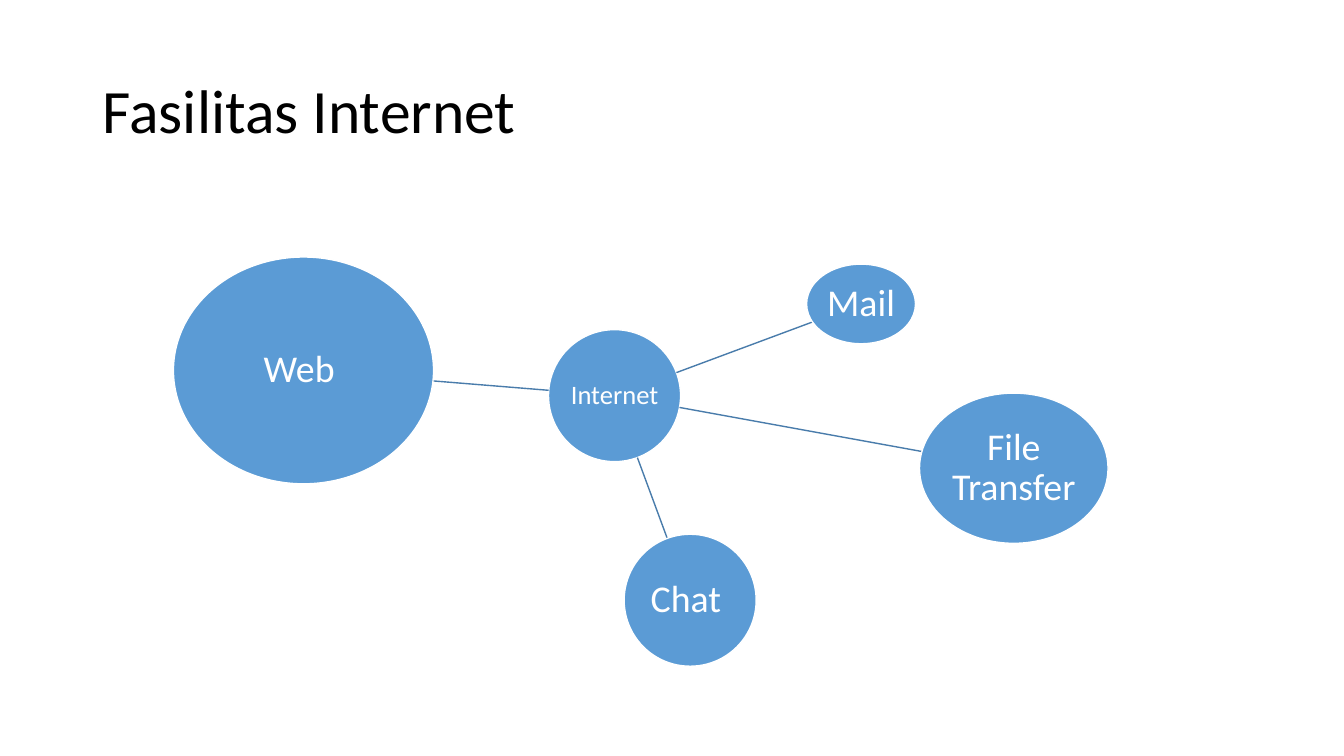
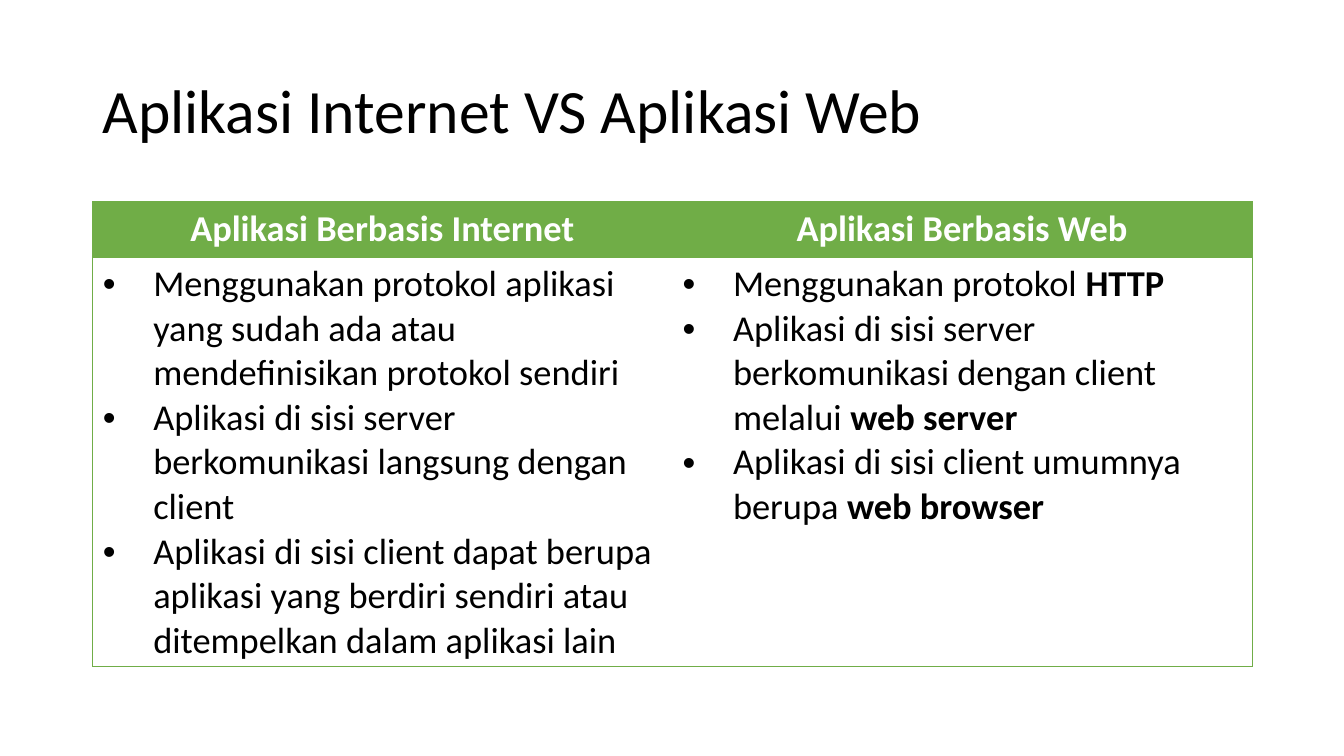
from dataclasses import dataclass
from math import hypot

from lxml.etree import SubElement
from pptx import Presentation
from pptx.dml.color import RGBColor
from pptx.enum.shapes import MSO_CONNECTOR as Connector, MSO_SHAPE as Shape
from pptx.enum.text import MSO_ANCHOR as Anchor, PP_ALIGN as Align
from pptx.oxml.ns import qn
from pptx.slide import Slide
from pptx.table import _Cell as Cell
from pptx.text.text import TextFrame, _Paragraph as Paragraph
from pptx.util import Inches, Pt

FONT = "Calibri"
BLACK, WHITE = "000000", "FFFFFF"
BLUE, SPOKE_BLUE, GREEN = "5B9BD5", "497CAB", "70AD47"
MARGIN, CONTENT_WIDTH = 0.92, 11.5


@dataclass(frozen=True)
class Bubble:
    label: str
    left: float
    top: float
    width: float
    height: float
    size: float = 27
    inset: float = 0.02

    @property
    def center(self) -> tuple[float, float]:
        return self.left + self.width / 2, self.top + self.height / 2

    def edge_toward(self, other: "Bubble") -> tuple[float, float]:
        (x, y), (other_x, other_y) = self.center, other.center
        dx, dy = other_x - x, other_y - y
        reach = hypot(dx / (self.width / 2), dy / (self.height / 2))
        return x + dx / reach, y + dy / reach


@dataclass(frozen=True)
class Phrase:
    text: str
    bold: bool = False


@dataclass(frozen=True)
class Column:
    heading: str
    points: list[list[Phrase]]


HUB = Bubble("Internet ", 5.44, 3.27, 1.31, 1.31, 19, 0.01)
FACILITIES = [
    Bubble("Mail ", 8, 2.62, 1.08, 0.79),
    Bubble("File Transfer", 9.12, 3.9, 1.87, 1.49),
    Bubble("Chat ", 6.19, 5.3, 1.31, 1.31),
    Bubble("Web ", 1.72, 2.55, 2.58, 2.25),
]
COMPARISON = [
    Column("Aplikasi Berbasis Internet", [
        [Phrase("Menggunakan protokol aplikasi yang sudah ada atau mendefinisikan protokol sendiri")],
        [Phrase("Aplikasi di sisi server berkomunikasi langsung dengan client")],
        [Phrase("Aplikasi di sisi client dapat berupa aplikasi yang berdiri sendiri "
                "atau ditempelkan dalam aplikasi lain")],
    ]),
    Column("Aplikasi Berbasis Web", [
        [Phrase("Menggunakan protokol "), Phrase("HTTP", True)],
        [Phrase("Aplikasi di sisi server berkomunikasi dengan client melalui "),
         Phrase("web server", True)],
        [Phrase("Aplikasi di sisi client umumnya berupa "), Phrase("web browser", True)],
    ]),
]
ROW_HEIGHTS = [0.55, 4.06]


def rgb(color: str) -> RGBColor:
    return RGBColor.from_string(color)


def write(paragraph: Paragraph, phrase: Phrase, size: float, color: str) -> None:
    run = paragraph.add_run()
    run.text = phrase.text
    formats = {"name": FONT, "size": Pt(size), "bold": phrase.bold}
    for attribute, value in formats.items():
        setattr(run.font, attribute, value)
    run.font.color.rgb = rgb(color)


def set_frame(frame: TextFrame, inset_x: float, inset_y: float) -> None:
    formats = {
        "word_wrap": True,
        "vertical_anchor": Anchor.MIDDLE,
        "margin_left": Inches(inset_x),
        "margin_right": Inches(inset_x),
        "margin_top": Inches(inset_y),
        "margin_bottom": Inches(inset_y),
    }
    for attribute, value in formats.items():
        setattr(frame, attribute, value)
    frame.paragraphs[0].line_spacing = 0.9


def add_titled_slide(deck: Presentation, title: str) -> Slide:
    slide = deck.slides.add_slide(deck.slide_layouts[6])
    heading = slide.shapes.add_textbox(
        Inches(MARGIN), Inches(0.4), Inches(CONTENT_WIDTH), Inches(1.45))
    set_frame(heading.text_frame, 0.1, 0.05)
    write(heading.text_frame.paragraphs[0], Phrase(title), 44, BLACK)
    return slide


def draw_bubble(slide: Slide, bubble: Bubble) -> None:
    oval = slide.shapes.add_shape(
        Shape.OVAL, Inches(bubble.left), Inches(bubble.top),
        Inches(bubble.width), Inches(bubble.height))
    oval.shadow.inherit = False
    oval.fill.solid()
    oval.fill.fore_color.rgb = rgb(BLUE)
    oval.line.color.rgb = rgb(WHITE)
    oval.line.width = Pt(1)
    set_frame(oval.text_frame, bubble.inset, bubble.inset)
    label = oval.text_frame.paragraphs[0]
    label.alignment = Align.CENTER
    write(label, Phrase(bubble.label), bubble.size, WHITE)


def draw_spoke(slide: Slide, start: Bubble, end: Bubble) -> None:
    points = start.edge_toward(end) + end.edge_toward(start)
    spoke = slide.shapes.add_connector(Connector.STRAIGHT, *map(Inches, points))
    spoke.line.color.rgb = rgb(SPOKE_BLUE)
    spoke.line.width = Pt(1)
    SubElement(spoke._element.spPr, qn("a:effectLst"))


def set_borders(cell: Cell, colored: set[str]) -> None:
    properties = cell._tc.get_or_add_tcPr()
    for position, side in enumerate("LRTB"):
        border = SubElement(properties, qn(f"a:ln{side}"), w=str(Pt(0.5)))
        if side in colored:
            paint = SubElement(border, qn("a:solidFill"))
            SubElement(paint, qn("a:srgbClr"), val=GREEN)
        else:
            SubElement(border, qn("a:noFill"))
        properties.insert(position, border)


def add_bullet(paragraph: Paragraph) -> None:
    properties = paragraph._p.get_or_add_pPr()
    properties.set("marL", str(Inches(0.5)))
    properties.set("indent", str(Inches(-0.5)))
    SubElement(properties, qn("a:buFont"), typeface="Arial")
    SubElement(properties, qn("a:buChar"), char="•")


def draw_comparison(slide: Slide, columns: list[Column]) -> None:
    table = slide.shapes.add_table(
        len(ROW_HEIGHTS), len(columns), Inches(MARGIN), Inches(2),
        Inches(CONTENT_WIDTH), Inches(sum(ROW_HEIGHTS))).table
    table.first_row = table.horz_banding = False
    for row, height in zip(table.rows, ROW_HEIGHTS):
        row.height = Inches(height)
    for index, column in enumerate(columns):
        outer = {side for side, at in (("L", 0), ("R", len(columns) - 1)) if index == at}
        header, body = table.cell(0, index), table.cell(1, index)
        for cell, color in ((header, GREEN), (body, WHITE)):
            cell.fill.solid()
            cell.fill.fore_color.rgb = rgb(color)
            set_borders(cell, outer | {"T", "B"})
        heading = header.text_frame.paragraphs[0]
        heading.alignment = Align.CENTER
        write(heading, Phrase(column.heading, True), 26, WHITE)
        for number, point in enumerate(column.points):
            frame = body.text_frame
            paragraph = frame.add_paragraph() if number else frame.paragraphs[0]
            add_bullet(paragraph)
            for phrase in point:
                write(paragraph, phrase, 26, BLACK)


def main() -> None:
    """Build the two slides on internet facilities and application types."""
    deck = Presentation()
    deck.slide_width, deck.slide_height = Inches(13.33), Inches(7.5)

    facilities = add_titled_slide(deck, "Fasilitas Internet")
    draw_bubble(facilities, HUB)
    for facility in FACILITIES:
        draw_spoke(facilities, HUB, facility)
        draw_bubble(facilities, facility)

    comparison = add_titled_slide(deck, "Aplikasi Internet VS Aplikasi Web")
    draw_comparison(comparison, COMPARISON)
    deck.save("out.pptx")


if __name__ == "__main__":
    main()
